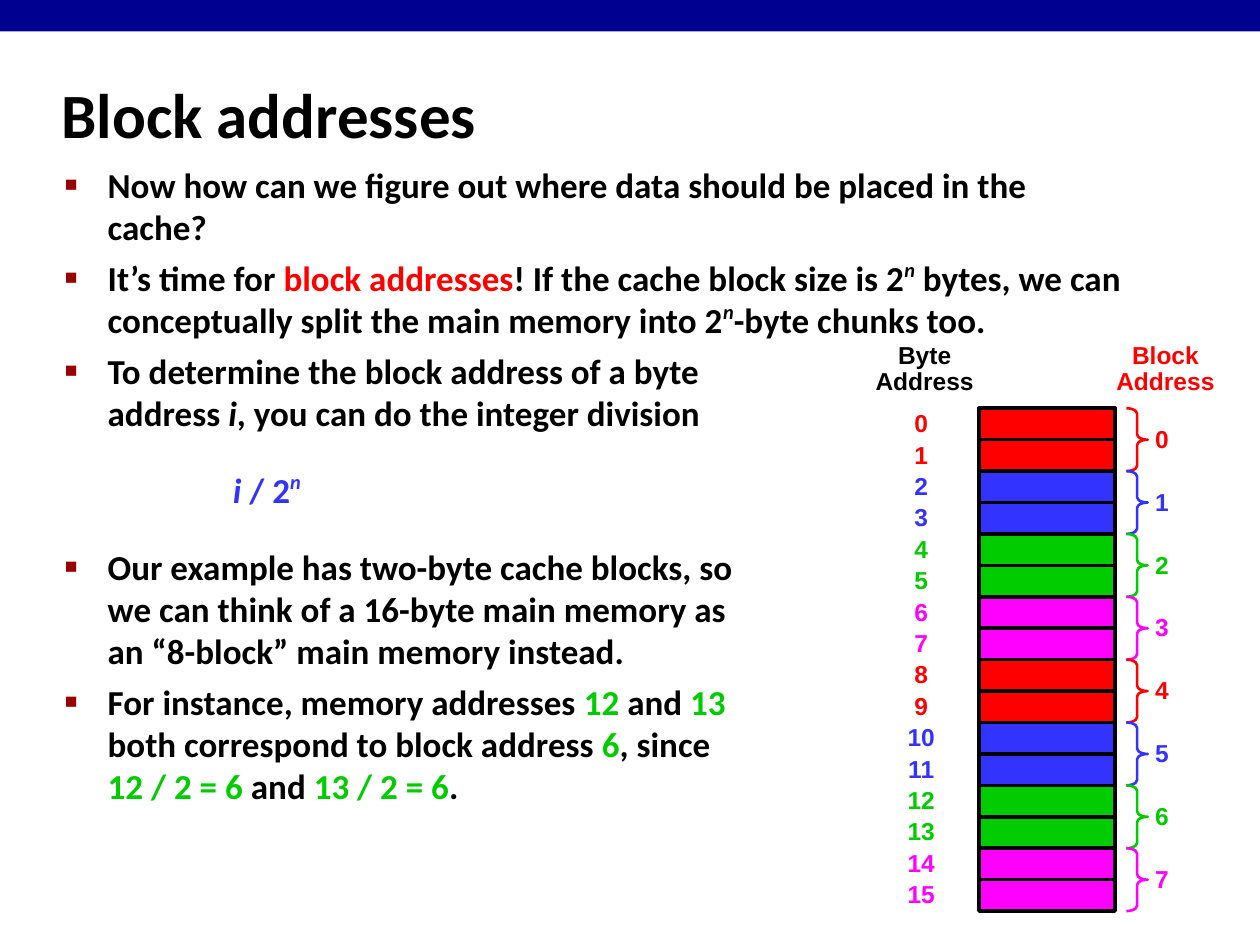
from lxml import etree
from pptx import Presentation
from pptx.dml.color import RGBColor
from pptx.enum import shapes, text
from pptx.oxml import ns
from pptx.util import Pt

COLORS = {"bar": "000090", "black": "000000", "bullet": "990000", "red": "FF0000",
          "blue": "3333FF", "green": "00CC00", "magenta": "FF00FF"}
BLOCK_CYCLE = ["red", "blue", "green", "magenta"]
BLOCKS, BYTES_PER_BLOCK = 8, 2
LABEL_LINE, LABEL_MIDDLE = 15.15, 7.1  # line height of a label, and its top to mid-digit


def rgb(name):
    return RGBColor.from_string(COLORS[name])


def add_run(paragraph, words, size, font="Calibri", color="black", italic=False, raised=False):
    run = paragraph.add_run()
    run.text = words
    run.font.name, run.font.size = font, Pt(size)
    run.font.bold, run.font.italic = True, italic
    run.font.color.rgb = rgb(color)
    if raised:
        run.font._element.set("baseline", "40000")


def add_bullet(paragraph):
    props = paragraph._p.get_or_add_pPr()
    color = etree.SubElement(props, ns.qn("a:buClr"))
    etree.SubElement(color, ns.qn("a:srgbClr"), val=COLORS["bullet"])
    etree.SubElement(props, ns.qn("a:buSzPct"), val="60000")
    etree.SubElement(props, ns.qn("a:buFont"), typeface="Arial")
    etree.SubElement(props, ns.qn("a:buChar"), char="■")


def set_indent(paragraph, left, first):
    props = paragraph._p.get_or_add_pPr()
    props.set("marL", str(Pt(left)))
    props.set("indent", str(Pt(first)))


def add_block(slide, kind, x, y, w, h):
    shape = slide.shapes.add_shape(kind, Pt(x), Pt(y), Pt(w), Pt(h))
    shape.shadow.inherit = False
    return shape


def add_top_bar(slide, x, y, w, h):
    bar = add_block(slide, shapes.MSO_SHAPE.RECTANGLE, x, y, w, h)
    bar.fill.solid()
    bar.fill.fore_color.rgb = rgb("bar")
    bar.line.fill.background()


def place_title(slide, x, y, w, h):
    title = slide.shapes.title
    title.left, title.top, title.width, title.height = Pt(x), Pt(y), Pt(w), Pt(h)
    title.text_frame.vertical_anchor = text.MSO_ANCHOR.MIDDLE
    heading = title.text_frame.paragraphs[0]
    heading.alignment = text.PP_ALIGN.LEFT
    add_run(heading, "Block addresses", 36)


# Each point is a list of lines, each line a list of (words, style)
PLAIN, RED, GREEN = {}, {"color": "red"}, {"color": "green"}
ITALIC, POWER = {"italic": True}, {"italic": True, "raised": True}
FORMULA = [[("i", {"color": "blue", "italic": True}), (" / 2", {"color": "blue"}),
            ("n", {"color": "blue", **POWER})]]
POINTS = [
    [[("Now how can we figure out where data should be placed in the cache?", PLAIN)]],
    [[("It’s time for ", PLAIN), ("block addresses", RED),
      ("! If the cache block size is 2", PLAIN), ("n", POWER),
      (" bytes, we can conceptually split the main memory into 2", PLAIN),
      ("n", POWER), ("-byte chunks too.", PLAIN)]],
    [[("To determine the block address of a byte", PLAIN)],
     [("address ", PLAIN), ("i", ITALIC), (", you can do the integer division", PLAIN)]],
    FORMULA,
    [[("Our example has two-byte cache blocks, so", PLAIN)],
     [("we can think of a 16-byte main memory as", PLAIN)],
     [("an “8-block” main memory instead.", PLAIN)]],
    [[("For instance, memory addresses ", PLAIN), ("12", GREEN), (" and ", PLAIN), ("13", GREEN)],
     [("both correspond to block address ", PLAIN), ("6", GREEN), (", since", PLAIN)],
     [("12 / 2 = 6", GREEN), (" and ", PLAIN), ("13 / 2 = 6", GREEN), (".", PLAIN)]],
]


def add_points(slide, x, y, w, h):
    frame = slide.shapes.add_textbox(Pt(x), Pt(y), Pt(w), Pt(h)).text_frame
    frame.word_wrap = True
    for i, point in enumerate(POINTS):
        paragraph = frame.add_paragraph() if i else frame.paragraphs[0]
        if point is FORMULA:
            set_indent(paragraph, 96, 0)
            paragraph.space_before, paragraph.space_after = Pt(20), Pt(15)
        else:
            set_indent(paragraph, 24.5, -24.5)
            add_bullet(paragraph)
            paragraph.space_before = Pt(5 if i else 0)
        for j, line in enumerate(point):
            if j:
                paragraph.add_line_break()
            for words, style in line:
                add_run(paragraph, words, 20, **style)


def add_labels(slide, x, y, w, h, labels, gap=0):
    """Centred column of (words, colour) labels, with equal gaps between."""
    frame = slide.shapes.add_textbox(Pt(x), Pt(y), Pt(w), Pt(h)).text_frame
    frame.word_wrap = True
    frame.margin_left = frame.margin_right = frame.margin_top = frame.margin_bottom = 0
    for i, (words, color) in enumerate(labels):
        paragraph = frame.add_paragraph() if i else frame.paragraphs[0]
        paragraph.alignment = text.PP_ALIGN.CENTER
        paragraph.line_spacing, paragraph.space_before = 0.9, Pt(gap if i else 0)
        add_run(paragraph, words, 14, "Arial", color)


def add_numbers(slide, x, y, w, h, colors):
    """Numbers from 0, each level with the middle of its equal share of the height."""
    pitch = h / len(colors)
    add_labels(slide, x, y + pitch / 2 - LABEL_MIDDLE, w, h - pitch + LABEL_LINE,
               [(str(i), color) for i, color in enumerate(colors)], pitch - LABEL_LINE)


def add_memory(slide, x, y, w, h):
    count = BLOCKS * BYTES_PER_BLOCK
    cells_x, cells_y, cell_w, cells_h = x + 67, y + 41.3, 77.8, h - 41.3
    cell_h, brace_h = cells_h / count, cells_h / BLOCKS
    block_colors = [BLOCK_CYCLE[i % len(BLOCK_CYCLE)] for i in range(BLOCKS)]
    byte_colors = [block_colors[i // BYTES_PER_BLOCK] for i in range(count)]

    # Memory cells, one a byte
    for i, color in enumerate(byte_colors):
        cell = add_block(slide, shapes.MSO_SHAPE.RECTANGLE,
                         cells_x, cells_y + i * cell_h, cell_w, cell_h)
        cell.fill.solid()
        cell.fill.fore_color.rgb = rgb(color)
        cell.line.color.rgb, cell.line.width = rgb("black"), Pt(2)

    # Braces, one a block
    for i, color in enumerate(block_colors):
        brace = add_block(slide, shapes.MSO_SHAPE.RIGHT_BRACE,
                          cells_x + 84.3, cells_y + i * brace_h, 12.2, brace_h)
        brace.adjustments[0] = 0.25
        brace.fill.background()
        brace.line.color.rgb, brace.line.width = rgb(color), Pt(1.5)

    # Column headings and address numbers
    for kind, color, left in (("Byte", "black", x), ("Block", "red", x + w - 72)):
        add_labels(slide, left, y + 4, 72, 30, [(kind, color), ("Address", color)])
    add_numbers(slide, x + 18, cells_y, 32, cells_h, byte_colors)
    add_numbers(slide, x + w - 48, cells_y, 20, cells_h, block_colors)


def main():
    deck = Presentation()
    deck.slide_width, deck.slide_height = Pt(720), Pt(540)
    slide = deck.slides.add_slide(deck.slide_layouts[5])
    add_top_bar(slide, 0, 0, 720, 18)
    add_points(slide, 30, 90, 620, 392)
    place_title(slide, 28, 34.5, 598, 60)
    add_memory(slide, 492.4, 192, 209.6, 328.6)
    deck.save("out.pptx")


if __name__ == "__main__":
    main()
